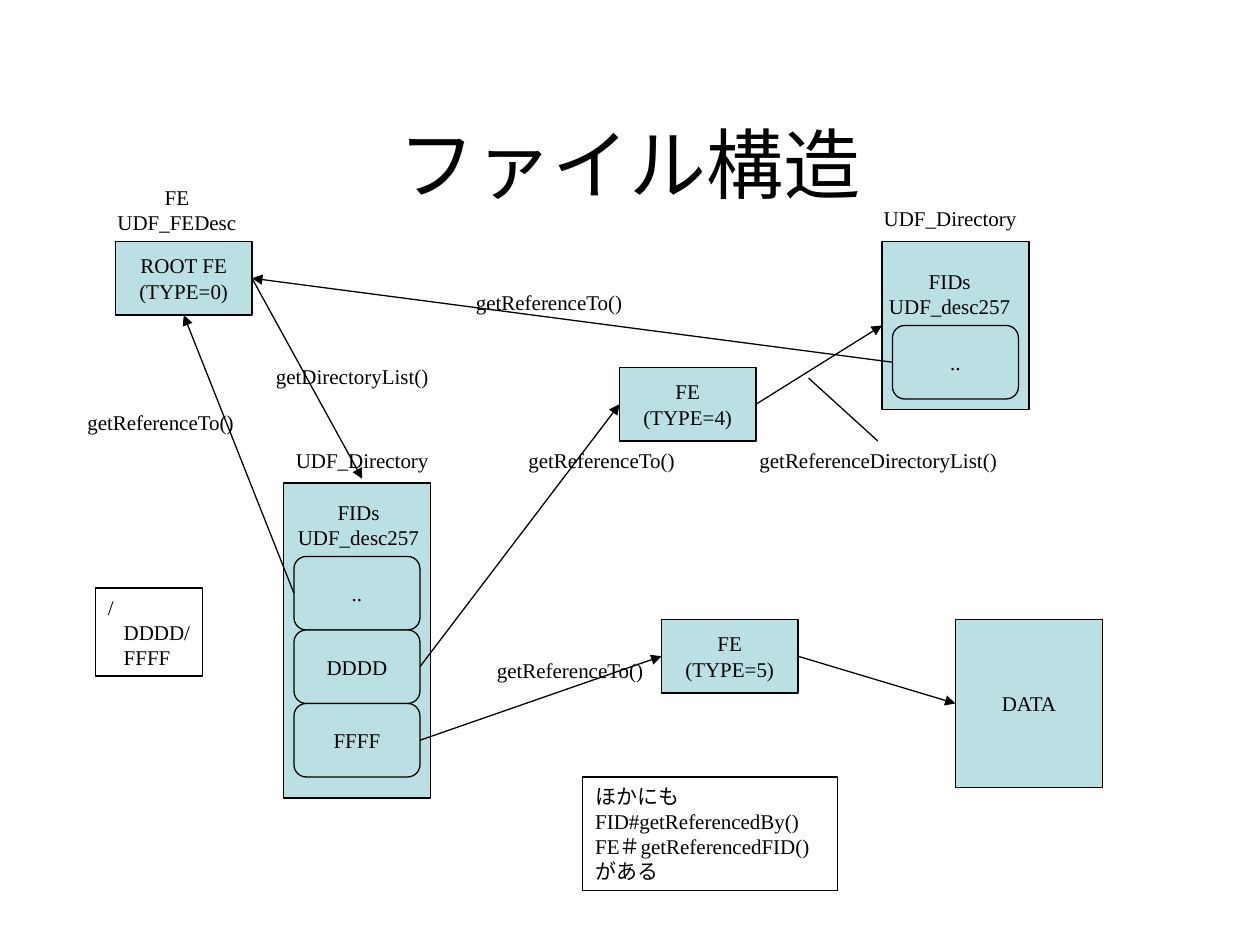
from dataclasses import dataclass
from typing import Optional

from lxml.etree import SubElement
from pptx import Presentation
from pptx.dml.color import RGBColor as Rgb
from pptx.enum.shapes import MSO_CONNECTOR as Conn, MSO_SHAPE as Kind
from pptx.enum.text import MSO_ANCHOR as Anchor, PP_ALIGN as Align
from pptx.oxml.ns import qn
from pptx.util import Pt

PX = 7620
FONT = "Times New Roman"
HUES = {"ink": "000000", "box": "BBE0E3"}
TOP, LEFT, BASE, RIGHT = range(4)
FE_W, FE_H = 130, 70
DIR_W = 140
FID_W, FID_H = 120, 70
TALL = 160


@dataclass
class Box:
    name: str
    x: int
    y: int
    w: int
    h: int
    text: str = ""
    round: bool = False


@dataclass
class Label:
    name: str
    x: int
    y: int
    w: int
    text: str


@dataclass
class Note:
    x: int
    y: int
    w: int
    h: int
    text: str
    inset: int = 0


@dataclass
class Link:
    tail: str
    exit: int
    head: str
    entry: int


BOXES = [
    Box("dir", 270, 460, DIR_W, 300),
    Box("root", 110, 230, FE_W, FE_H, "ROOT FE\n(TYPE=0)"),
    *[Box(f"fid {text}", 280, 530 + i * FID_H, FID_W, FID_H, text, True)
      for i, text in enumerate(["..", "DDDD", "FFFF"])],
    Box("fe4", 590, 350, FE_W, FE_H, "FE\n(TYPE=4)"),
    Box("fe5", 630, 590, FE_W, FE_H, "FE\n(TYPE=5)"),
    Box("subdir", 840, 230, DIR_W, TALL),
    Box("parent", 850, 310, FID_W, FID_H, "..", True),
    Box("data", 910, 590, DIR_W, TALL, "DATA"),
]

LABELS = [
    Label("fids", 272, 470, 139, "FIDs\nUDF_desc257"),
    Label("desc", 100, 170, 137, "FE\nUDF_FEDesc"),
    Label("subfids", 835, 250, 139, "FIDs\nUDF_desc257"),
    Label("dir name", 270, 420, 150, "UDF_Directory"),
    Label("subdir name", 830, 190, 150, "UDF_Directory"),
    Label("list", 251, 340, 169, "getDirectoryList()"),
    *[Label(f"ref {i}", x, y, 164, "getReferenceTo()")
      for i, (x, y) in enumerate([(461, 620), (491, 420), (71, 384), (441, 270)])],
    Label("sublist", 711, 420, 251, "getReferenceDirectoryList()"),
]

NOTES = [
    Note(91, 560, 102, 84, "/\nDDDD/\nFFFF", 15),
    Note(555, 740, 243, 108,
         "ほかにも\nFID#getReferencedBy()\nFE＃getReferencedFID()\nがある"),
]

LINKS = [
    Link("fid DDDD", RIGHT, "fe4", LEFT),
    Link("root", RIGHT, "dir name", BASE),
    Link("fid FFFF", RIGHT, "fe5", LEFT),
    Link("fe4", RIGHT, "subdir", LEFT),
    Link("fe5", RIGHT, "data", LEFT),
    Link("fid ..", LEFT, "root", BASE),
    Link("parent", LEFT, "root", RIGHT),
]


def hue(name: str) -> Rgb:
    return Rgb.from_string(HUES[name])


def frame(x: int, y: int, w: int, h: int) -> list[int]:
    return [n * PX for n in (x, y, w, h)]


def write(shape, text: str, size: int = 12, align=Align.CENTER,
          anchor=Anchor.MIDDLE, wrap: bool = False) -> None:
    body = shape.text_frame
    body.text = text
    body.word_wrap = wrap
    body.vertical_anchor = anchor
    for para in body.paragraphs:
        para.alignment = align
        for run in para.runs:
            run.font.size = Pt(size)
            run.font.name = FONT
            run.font.color.rgb = hue("ink")


def edge(line) -> None:
    line.color.rgb = hue("ink")
    line.width = Pt(0.75)


def draw_box(slide, box: Box):
    kind = Kind.ROUNDED_RECTANGLE if box.round else Kind.RECTANGLE
    shape = slide.shapes.add_shape(kind, *frame(box.x, box.y, box.w, box.h))
    shape.shadow.inherit = False
    shape.fill.solid()
    shape.fill.fore_color.rgb = hue("box")
    edge(shape.line)
    if box.text:
        write(shape, box.text)
    return shape


def draw_label(slide, label: Label):
    tall = 60 if "\n" in label.text else 36
    shape = slide.shapes.add_textbox(*frame(label.x, label.y, label.w, tall))
    write(shape, label.text, anchor=Anchor.TOP)
    shape.text_frame.margin_left = shape.text_frame.margin_right = 0
    return shape


def draw_note(slide, note: Note) -> None:
    shape = slide.shapes.add_textbox(*frame(note.x, note.y, note.w, note.h))
    edge(shape.line)
    write(shape, note.text, align=Align.LEFT, anchor=Anchor.TOP, wrap=True)
    shape.text_frame.margin_right = 0
    if note.inset:
        for para in shape.text_frame.paragraphs[1:]:
            para._p.get_or_add_pPr().set("marL", str(note.inset * PX))


def draw_line(slide, ends: list[int], link: Optional[Link] = None,
              parts: Optional[dict] = None) -> None:
    line = slide.shapes.add_connector(Conn.STRAIGHT, *frame(*ends))
    edge(line.line)
    if link:
        line.begin_connect(parts[link.tail], link.exit)
        line.end_connect(parts[link.head], link.entry)
        SubElement(line.line._get_or_add_ln(), qn("a:tailEnd"), type="triangle")
    SubElement(line._element.spPr, qn("a:effectLst"))


def main() -> None:
    deck = Presentation()
    deck.slide_width, deck.slide_height = 1200 * PX, 900 * PX
    slide = deck.slides.add_slide(deck.slide_layouts[6])
    title = slide.shapes.add_textbox(*frame(90, 80, 1020, 150))
    write(title, "ファイル構造", size=44, wrap=True)
    parts = {box.name: draw_box(slide, box) for box in BOXES}
    parts |= {label.name: draw_label(slide, label) for label in LABELS}
    for link in LINKS:
        draw_line(slide, [0, 0, 0, 0], link, parts)
    draw_line(slide, [770, 360, 836, 420])
    for note in NOTES:
        draw_note(slide, note)
    deck.save("out.pptx")


if __name__ == "__main__":
    main()
